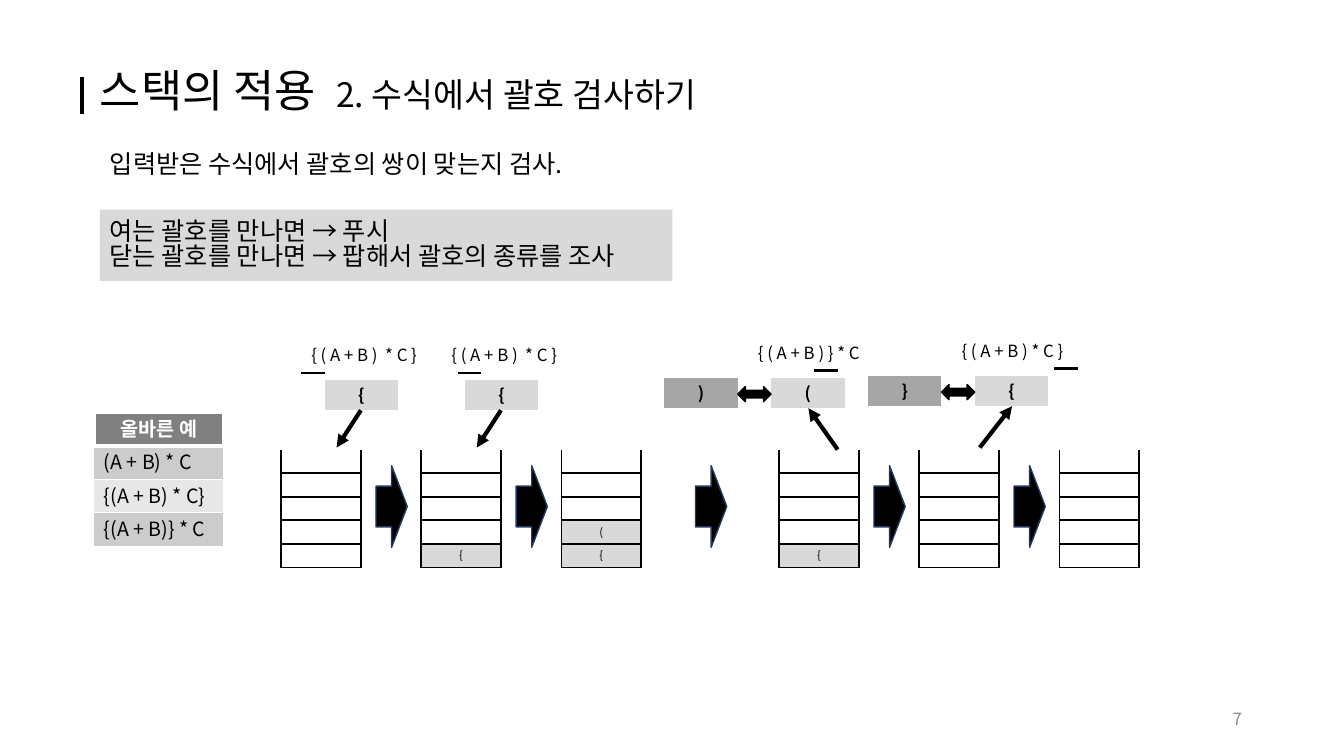
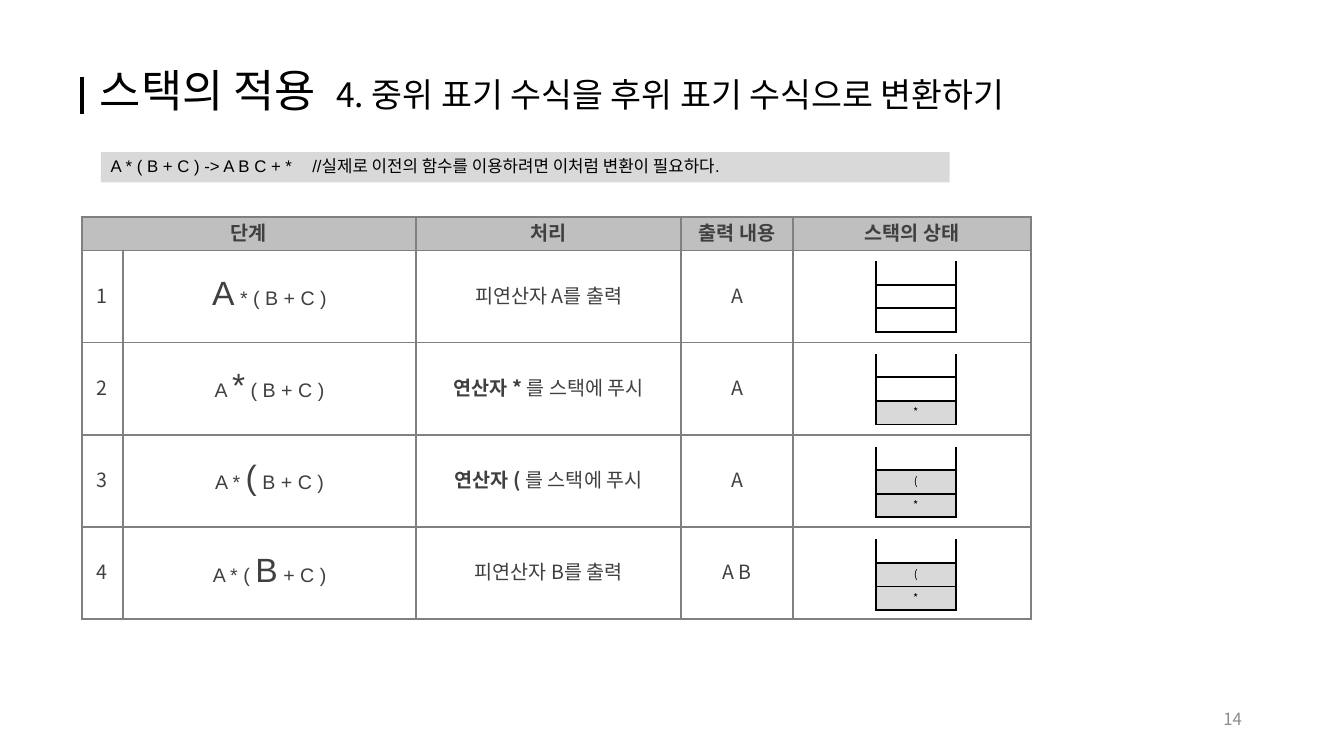
from lxml import etree
from pptx import Presentation
from pptx import util as u
from pptx.dml.color import RGBColor
from pptx.enum import shapes, text
from pptx.oxml import ns

CELL = 0.1  # one grid column or row, in inches
COLUMNS, ROWS = 133.33, 75
KOREAN, LATIN = "Noto Sans CJK KR", "Arial"
BLACK, WHITE = "000000", "FFFFFF"
PALE, SILVER, MID, DARK, INK = "D9D9D9", "BFBFBF", "A6A6A6", "808080", "404040"
LEFT, CENTER, RIGHT = text.PP_ALIGN.LEFT, text.PP_ALIGN.CENTER, text.PP_ALIGN.RIGHT
TOP, MIDDLE = text.MSO_ANCHOR.TOP, text.MSO_ANCHOR.MIDDLE
SIDES = {"l": "a:lnL", "r": "a:lnR", "t": "a:lnT", "b": "a:lnB"}


def color(hex_string):
    return RGBColor.from_string(hex_string)


def grid(*lengths):
    """Turn grid columns or rows into slide lengths."""
    return [u.Inches(length * CELL) for length in lengths]


def add_xml(parent, tag, **attributes):
    return etree.SubElement(parent, ns.qn(tag), attributes)


class Deck:
    def __init__(self):
        self.prs = Presentation()
        self.prs.slide_width, self.prs.slide_height = grid(COLUMNS, ROWS)
        self.slide = None

    # Text
    def put_text(self, paragraph, content, size, ink=BLACK, align=LEFT, spacing=0.82, **style):
        """Content is one string, or a list of (string, style changes)."""
        paragraph.alignment = align
        paragraph.line_spacing = spacing
        paragraph.space_before = u.Pt(0)
        parts = [(content, {})] if isinstance(content, str) else content
        for words, changes in parts:
            look = {"size": size, "bold": False, "face": KOREAN, **style, **changes}
            run = paragraph.add_run()
            run.text = words
            run.font.size = u.Pt(look["size"])
            run.font.bold = look["bold"]
            run.font.color.rgb = color(ink)
            run.font.name = look["face"]
            add_xml(run.font._element, "a:ea", typeface=KOREAN)

    def fill_frame(self, frame, lines, size, anchor=TOP, **style):
        frame.word_wrap = True
        frame.auto_size = text.MSO_AUTO_SIZE.NONE
        frame.vertical_anchor = anchor
        for index, line in enumerate(lines):
            paragraph = frame.add_paragraph() if index else frame.paragraphs[0]
            self.put_text(paragraph, line, size, **style)

    def label(self, box, content, size=12, **style):
        frame = self.slide.shapes.add_textbox(*grid(*box)).text_frame
        self.fill_frame(frame, [content], size, **style)

    # Slide frame
    def start(self, layout, subtitle, number):
        self.slide = self.prs.slides.add_slide(self.prs.slide_layouts[layout])
        title = self.slide.shapes.title
        title.left, title.top, title.width, title.height = grid(8.9, 6.3, 105, 6.4)
        heading = [("스택의 적용  ", {}), (subtitle, {"size": 24})]
        self.fill_frame(title.text_frame, [heading], 32, spacing=0.9)
        self.line((8.1, 7.6), (8.1, 11.3), 3)
        self.label((94.2, 69.5, 30, 4), str(number), ink="8C8C8C", align=RIGHT, anchor=MIDDLE)

    def body(self, box, content):
        holder = self.slide.placeholders[1]
        holder.left, holder.top, holder.width, holder.height = grid(*box)
        self.fill_frame(holder.text_frame, [content], 18)
        props = holder.text_frame.paragraphs[0]._p.get_or_add_pPr()
        props.set("marL", "0")
        props.set("indent", "0")
        add_xml(props, "a:buNone")

    # Shapes and lines
    def shape(self, kind, box, fill, outline=None):
        item = self.slide.shapes.add_shape(kind, *grid(*box))
        item.shadow.inherit = False
        item.fill.solid()
        item.fill.fore_color.rgb = color(fill)
        if outline:
            item.line.color.rgb = color(outline)
            item.line.width = u.Pt(1)
        else:
            item.line.fill.background()
        return item

    def band(self, box, lines, size, **style):
        frame = self.shape(shapes.MSO_SHAPE.RECTANGLE, box, PALE).text_frame
        self.fill_frame(frame, lines, size, anchor=MIDDLE, **style)

    def line(self, start, end, width, arrow=False):
        item = self.slide.shapes.add_connector(
            shapes.MSO_CONNECTOR.STRAIGHT, *grid(*start, *end))
        item.line.color.rgb = color(BLACK)
        item.line.width = u.Pt(width)
        if arrow:
            add_xml(item.line._get_or_add_ln(), "a:tailEnd", type="triangle")
        add_xml(item._element.spPr, "a:effectLst")

    # Tables
    def table(self, left, top, widths, heights):
        frame = self.slide.shapes.add_table(
            len(heights), len(widths), *grid(left, top, sum(widths), sum(heights)))
        table = frame.table
        table.first_row = table.horz_banding = False
        for column, width in zip(table.columns, grid(*widths)):
            column.width = width
        for row, height in zip(table.rows, grid(*heights)):
            row.height = height
        return table

    def cell(self, cell, content, size, fill, border=None, sides="lrtb", width=1.5,
             pad=0.5, align=CENTER, **style):
        cell.margin_top, cell.margin_bottom = grid(pad, pad)
        cell.vertical_anchor = MIDDLE
        paragraph = cell.text_frame.paragraphs[0]
        if content:
            self.put_text(paragraph, content, size, align=align, **style)
        else:
            add_xml(paragraph._p, "a:endParaRPr", sz=str(size * 100))
        props = cell._tc.get_or_add_tcPr()
        for side, tag in SIDES.items():
            edge = add_xml(props, tag, w=str(u.Pt(width)))
            if border and side in sides:
                add_xml(add_xml(edge, "a:solidFill"), "a:srgbClr", val=border)
            else:
                add_xml(edge, "a:noFill")
        cell.fill.solid()
        cell.fill.fore_color.rgb = color(fill)

    # Stack diagram parts
    def stack(self, left, top, levels, items=""):
        """Draw an open-topped stack; items run from bottom to top."""
        table = self.table(left, top, [7.9], [2.34] * levels)
        contents = items.ljust(levels)[::-1]
        for row, item in enumerate(contents):
            item = item.strip()
            self.cell(table.cell(row, 0), item, 8, PALE if item else WHITE, BLACK,
                      sides="lrtb" if row else "lrb", pad=0.25)

    def chip(self, left, top, bracket, fill=PALE):
        table = self.table(left, top, [7.3], [3])
        self.cell(table.cell(0, 0), bracket, 12, fill, bold=True)

    def next_arrow(self, left):
        self.shape(shapes.MSO_SHAPE.RIGHT_ARROW, (left, 46.2, 3.1, 8.1), BLACK, "223961")

    def expression(self, left, top, formula, mark_left, mark_top):
        self.label((left, top, 14.8, 3), formula)
        self.line((mark_left, mark_top), (mark_left + 2.3, mark_top), 2)

    def push(self, left, bracket, formula, mark):
        """Show a bracket entering the stack that starts at left."""
        self.chip(left + 4.3, 37.7, bracket)
        self.line((left + 7.9, 40.7), (left + 5.5, 44.4), 3, arrow=True)
        self.expression(left + 2, 34.1, formula, left + mark, 37)

    def pop(self, left, top, pair, formula, mark, source):
        """Show a bracket leaving the stack and meeting its closing partner."""
        opening, closing = pair
        self.chip(left, top, opening)
        self.chip(left - 10.6, top, closing, MID)
        self.shape(shapes.MSO_SHAPE.LEFT_RIGHT_ARROW, (left - 3.3, top + 0.85, 3.3, 1.5),
                   BLACK, BLACK)
        self.line(source, (left + 3.7, top + 3), 3, arrow=True)
        self.expression(left - 2.3, top - 3.6, formula, left + mark, top - 0.75)


def bracket_check(deck):
    deck.start(1, "2. 수식에서 괄호 검사하기", 7)
    deck.body((9.9, 14.7, 86.9, 4), "입력받은 수식에서 괄호의 쌍이 맞는지 검사.")
    deck.band((9.9, 20.8, 56.8, 7.1),
              ["여는 괄호를 만나면 → 푸시", "닫는 괄호를 만나면 → 팝해서 괄호의 종류를 조사"], 18)

    # Valid expressions
    examples = ["올바른 예", "(A + B) * C", "{(A + B) * C}", "{(A + B)} * C"]
    fills = [DARK, "CCCCCC", "E7E7E7", "CCCCCC"]
    table = deck.table(9.3, 40.9, [12.9], [3.33] * 4)
    for row, (example, fill) in enumerate(zip(examples, fills)):
        head = row == 0
        deck.cell(table.cell(row, 0), example, 14, fill, WHITE, width=3 if head else 1,
                  bold=head, ink=WHITE if head else BLACK, align=CENTER if head else LEFT)

    # Stacks, three while pushing and three while popping
    step = 13.9
    for first, states in ((27.9, ["", "{", "{("]), (77.3, ["{", "", ""])):
        for index, items in enumerate(states):
            left = first + index * step
            deck.stack(left, 44.6, 5, items)
            if index < len(states) - 1:
                deck.next_arrow(left + 9.4)
    deck.next_arrow(69)

    # Moves
    whole = "{ ( A + B )  * C }"
    deck.push(27.9, "{", whole, 2)
    deck.push(27.9 + step, "{", whole, 3.6)
    deck.pop(76.5, 37.5, "()", "{ ( A + B ) } * C", 4.3, (83.1, 44.6))
    deck.pop(96.7, 37.3, "{}", "{ ( A + B ) * C }", 7.9, (97.2, 44.4))


def postfix_conversion(deck):
    deck.start(5, "4. 중위 표기 수식을 후위 표기 수식으로 변환하기", 14)
    deck.band((10, 15.1, 84.2, 3),
              ["A * ( B + C ) -> A B C + *\t//실제로 이전의 함수를 이용하려면 이처럼 변환이 필요하다."],
              12, face=LATIN)

    # Steps: text before, at and after the current symbol, action, output, stack
    steps = [
        (("", "A", " * ( B + C )"), ("", "피연산자 A를 출력"), "A", ""),
        (("A ", "*", " ( B + C )"), ("연산자 * ", "를 스택에 푸시"), "A", "*"),
        (("A * ", "(", " B + C )"), ("연산자 ( ", "를 스택에 푸시"), "A", "*("),
        (("A * ( ", "B", " + C )"), ("", "피연산자 B를 출력"), "A B", "*("),
    ]
    head_height, step_height = 3.35, 9.14
    table = deck.table(8.1, 21.5, [4.1, 29.1, 26.3, 11.1, 23.6],
                       [head_height] + [step_height] * len(steps))
    for column, heading in enumerate(["단계", "", "처리", "출력 내용", "스택의 상태"]):
        deck.cell(table.cell(0, column), heading, 14, SILVER, DARK, ink=INK, bold=True)
    table.cell(0, 0).merge(table.cell(0, 1))

    for row, ((before, symbol, after), (strong, plain), output, items) in enumerate(steps, 1):
        formula = [(before, {}), (symbol, {"size": 24}), (after, {})]
        formula = [(words, {"face": LATIN, **look}) for words, look in formula if words]
        action = [(strong, {"bold": True})] if strong else []
        action.append((plain, {}))
        for column, content in enumerate([str(row), formula, action, output, ""]):
            deck.cell(table.cell(row, column), content, 14, WHITE, DARK, ink=INK)
        deck.stack(86.9, 25.9 + (row - 1) * 9.2, 3, items)


def main():
    deck = Deck()
    bracket_check(deck)
    postfix_conversion(deck)
    deck.prs.save("out.pptx")


if __name__ == "__main__":
    main()
